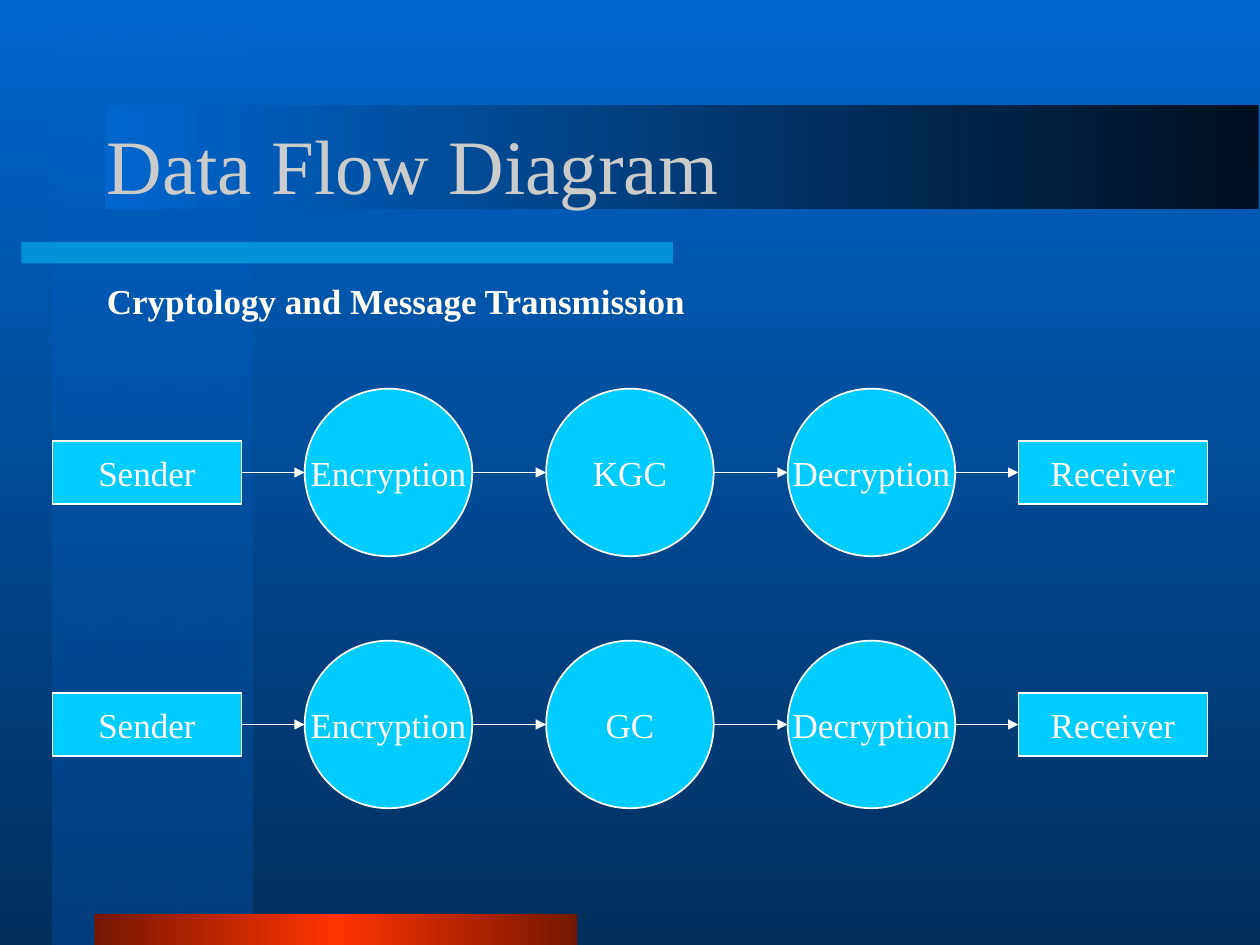
from itertools import pairwise

from lxml import etree
from pptx import Presentation
from pptx.dml import color
from pptx.enum import shapes, text
from pptx.oxml import ns
from pptx.util import Inches, Pt

FONT = "Times New Roman"
WHITE, CYAN = "FFFFFF", "00CCFF"
STEP = 23 / 12  # distance between neighbouring step centres
CENTER = 5
BOX_SIZE = (1.5, 0.5)
CIRCLE_SIZE = (1.33, 1.33)
FLOWS = [
    (3.75, ["Sender", "Encryption", "KGC", "Decryption", "Receiver"]),
    (5.75, ["Sender", "Encryption", "GC", "Decryption", "Receiver"]),
]


def rgb(hex_code):
    """Turn a hex string into a colour."""
    return color.RGBColor.from_string(hex_code)


def add_child(parent, tag, **attributes):
    """Append a DrawingML element to a parent."""
    return etree.SubElement(parent, ns.qn(tag), attributes)


def set_gradient(owner, fill, angle, stops):
    """Give a fill a linear gradient; stops hold position, colour and opacity."""
    fill.gradient()
    fill.gradient_angle = angle
    stop_list = next(owner.iter(ns.qn("a:gsLst")))
    for old_stop in list(stop_list):
        stop_list.remove(old_stop)
    for position, hex_code, opacity in stops:
        stop = add_child(stop_list, "a:gs", pos=str(position * 1000))
        tone = add_child(stop, "a:srgbClr", val=hex_code)
        if opacity < 100:
            add_child(tone, "a:alpha", val=str(opacity * 1000))


def add_band(slide, place, angle, stops):
    """Add a borderless decorative rectangle with a gradient."""
    band = slide.shapes.add_shape(
        shapes.MSO_SHAPE.RECTANGLE, *map(Inches, place))
    band.shadow.inherit = False
    band.line.fill.background()
    set_gradient(band._element, band.fill, angle, stops)


def add_rule(slide, place, hex_code, opacity):
    """Add a borderless translucent bar."""
    rule = slide.shapes.add_shape(
        shapes.MSO_SHAPE.RECTANGLE, *map(Inches, place))
    rule.shadow.inherit = False
    rule.line.fill.background()
    rule.fill.solid()
    rule.fill.fore_color.rgb = rgb(hex_code)
    tone = next(rule._element.iter(ns.qn("a:srgbClr")))
    add_child(tone, "a:alpha", val=str(opacity * 1000))


def write(frame, words, hex_code, align, anchor, wrap, **font_format):
    """Write one formatted paragraph in a text frame."""
    frame.word_wrap = wrap
    frame.vertical_anchor = anchor
    paragraph = frame.paragraphs[0]
    paragraph.alignment = align
    run = paragraph.add_run()
    run.text = words
    run.font.color.rgb = rgb(hex_code)
    for key, value in {"name": FONT, **font_format}.items():
        setattr(run.font, key, value)
    return paragraph


def add_heading(slide, place, words, hex_code, anchor, **font_format):
    """Add a left-aligned line of text."""
    heading = slide.shapes.add_textbox(*map(Inches, place))
    return write(heading.text_frame, words, hex_code, text.PP_ALIGN.LEFT,
                 anchor, True, **font_format)


def add_step(slide, kind, center, middle, size, words):
    """Add a labelled flow step around its centre."""
    width, height = size
    place = (center - width / 2, middle - height / 2, width, height)
    step = slide.shapes.add_shape(kind, *map(Inches, place))
    step.shadow.inherit = False
    step.fill.solid()
    step.fill.fore_color.rgb = rgb(CYAN)
    step.line.color.rgb = rgb(WHITE)
    step.line.width = Pt(1)
    write(step.text_frame, words, WHITE, text.PP_ALIGN.CENTER,
          text.MSO_ANCHOR.MIDDLE, False, size=Pt(20))


def add_arrow(slide, start, end, middle):
    """Add a horizontal arrow."""
    arrow = slide.shapes.add_connector(
        shapes.MSO_CONNECTOR.STRAIGHT,
        *map(Inches, (start, middle, end, middle)))
    arrow.line.color.rgb = rgb(WHITE)
    arrow.line.width = Pt(1)
    add_child(arrow.line._get_or_add_ln(), "a:tailEnd", type="triangle")
    add_child(arrow._element.spPr, "a:effectLst")


def add_flow(slide, middle, labels):
    """Add a row of steps joined by arrows, with boxes at both ends."""
    edges = []
    for index, label in enumerate(labels):
        center = CENTER + (index - 2) * STEP
        at_end = index in (0, len(labels) - 1)
        kind = shapes.MSO_SHAPE.RECTANGLE if at_end else shapes.MSO_SHAPE.OVAL
        size = BOX_SIZE if at_end else CIRCLE_SIZE
        add_step(slide, kind, center, middle, size, label)
        edges.append((center - size[0] / 2, center + size[0] / 2))
    for (_, start), (end, _) in pairwise(edges):
        add_arrow(slide, start, end, middle)


def add_backdrop(slide):
    """Add the background gradient and the decorative bands."""
    set_gradient(slide._element, slide.background.fill, 270,
                 [(0, "0066CC", 100), (100, "002F5E", 100)])
    add_band(slide, (0.42, 0, 1.58, 7.5), 270,
             [(0, "0066CC", 50), (100, "003E7D", 100)])
    add_rule(slide, (0.17, 1.92, 5.17, 0.17), CYAN, 50)
    add_band(slide, (0.75, 7.25, 3.83, 0.25), 180,
             [(0, "751700", 100), (50, "FF3300", 100), (100, "751700", 100)])
    add_band(slide, (0.83, 0.83, 9.16, 0.83), 180,
             [(0, "000F1F", 100), (100, "0066CC", 100)])


def main():
    """Build the data flow slide."""
    deck = Presentation()
    deck.slide_width, deck.slide_height = Inches(10), Inches(7.5)
    slide = deck.slides.add_slide(deck.slide_layouts[6])
    add_backdrop(slide)
    add_heading(slide, (0.75, 0.67, 8.5, 1.25), "Data Flow Diagram",
                "CBCBCB", text.MSO_ANCHOR.MIDDLE, size=Pt(44))
    subtitle = add_heading(
        slide, (0.75, 2.17, 8.5, 4.5), "Cryptology and Message Transmission",
        WHITE, text.MSO_ANCHOR.TOP, size=Pt(20), bold=True)
    subtitle.space_before = Pt(5)
    for middle, labels in FLOWS:
        add_flow(slide, middle, labels)
    deck.save("out.pptx")


main()
